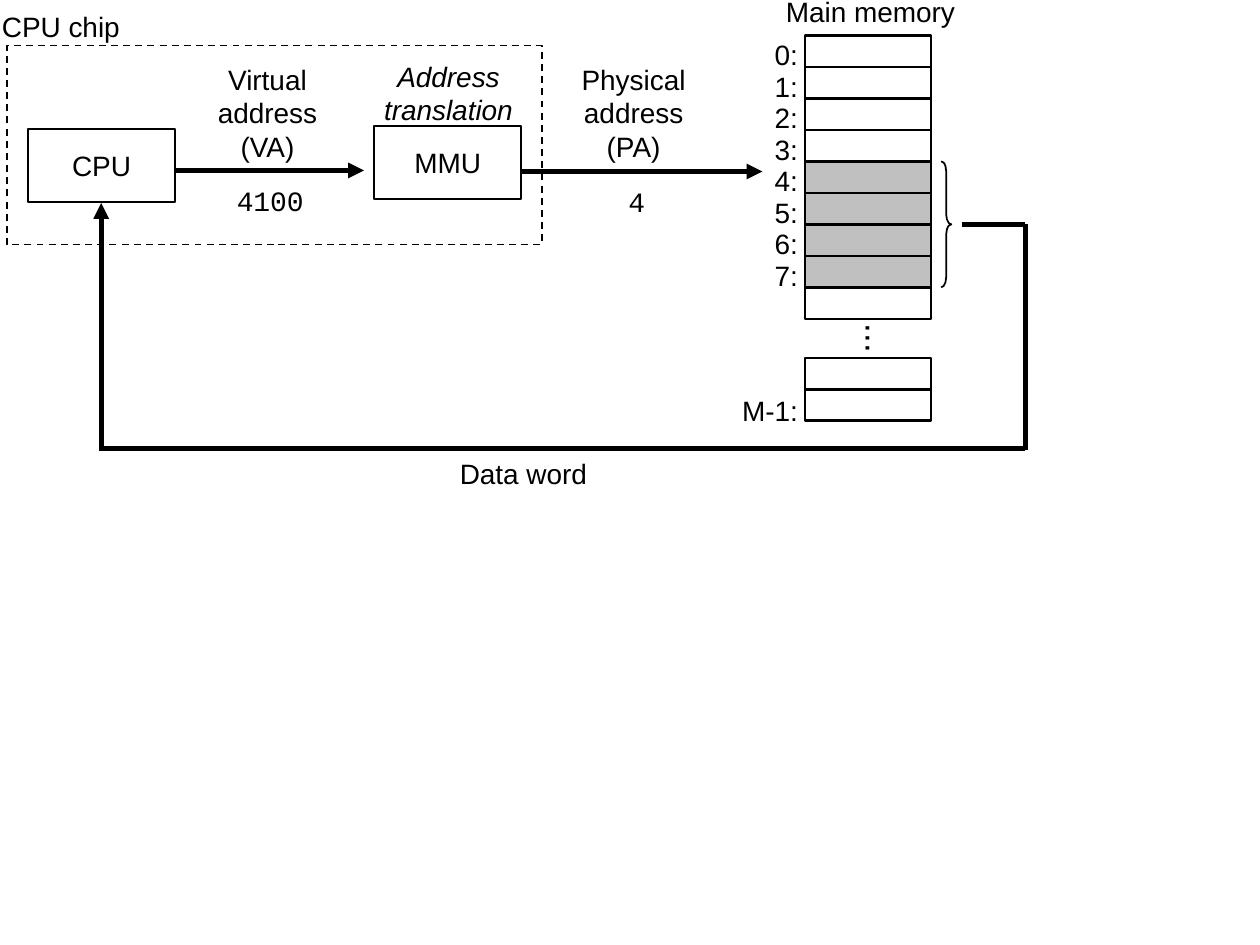
from pptx import Presentation
from pptx.util import Pt
from pptx.dml.color import RGBColor
from pptx.enum.dml import MSO_LINE
from pptx.enum.shapes import MSO_CONNECTOR, MSO_SHAPE
from pptx.enum.text import MSO_ANCHOR, MSO_AUTO_SIZE, PP_ALIGN
from pptx.oxml.ns import qn
from lxml import etree

RECT, BRACE = MSO_SHAPE.RECTANGLE, MSO_SHAPE.RIGHT_BRACE
LINE, DASH = MSO_CONNECTOR.STRAIGHT, MSO_LINE.DASH
MID, TOP = MSO_ANCHOR.MIDDLE, MSO_ANCHOR.TOP
LEFT, CENTER = PP_ALIGN.LEFT, PP_ALIGN.CENTER
GROW = MSO_AUTO_SIZE.SHAPE_TO_FIT_TEXT

HEX = {"ink": "000000", "cell": "FFFFFF", "word": "C0C0C0"}
SANS, MONO = "Arial", "Courier New"
PLAIN = {"name": SANS, "size": Pt(16)}
CODE = {**PLAIN, "name": MONO}
SLANT = {**PLAIN, "italic": True}
LARGE = {**PLAIN, "size": Pt(20)}

# Memory column: left, top, cell width, cell height
COL, ROW, WIDE, HIGH = 460, 20.2, 72, 18
CELLS = ["cell"] * 4 + ["word"] * 4 + ["cell"]
LAST = 204.5

UNITS = [
    ("CPU", (16, 73.6, 84.2, 41.8)),
    ("MMU", (213.8, 72, 84.2, 41.8)),
]
NOTES = [
    ("CPU chip", (-6.2, 1.8, 82, 26.6), PLAIN),
    ("Virtual\naddress\n(VA)", (117.2, 32, 71.3, 64.8), PLAIN),
    ("4100", (127.8, 101.2, 53.3, 26.6), CODE),
    ("Address\ntranslation", (212, 29.9, 88.6, 46), SLANT),
    ("Physical\naddress\n(PA)", (325, 32, 74.2, 64.8), PLAIN),
    ("4", (351.6, 101.5, 24.5, 26.6), CODE),
    ("Data word", (255.6, 257, 87, 26.6), PLAIN),
]
# Start, end, arrowhead at the end
WIRES = [
    ((100, 97.4), (208, 97.4), True),
    ((298, 98), (435.6, 98), True),
    ((550, 128.2), (586, 128.2), False),
    ((586, 128.2), (586, 257), False),
    ((586, 256.3), (57.8, 256.3), False),
    ((57.8, 257.8), (57.8, 116), True),
]

deck = Presentation()
deck.slide_width, deck.slide_height = Pt(720), Pt(540)
slide = deck.slides.add_slide(deck.slide_layouts[6])
shapes = slide.shapes


def color(key):
    return RGBColor.from_string(HEX[key])


def shape(kind, box, fill=None, width=None):
    """Add a preset shape; without fill or width it has no fill or line."""
    item = shapes.add_shape(kind, *map(Pt, box))
    item.shadow.inherit = False
    if fill:
        item.fill.solid()
        item.fill.fore_color.rgb = color(fill)
    else:
        item.fill.background()
    if width:
        item.line.color.rgb = color("ink")
        item.line.width = Pt(width)
    else:
        item.line.fill.background()
    return item


def write(item, text, form=PLAIN, align=CENTER, anchor=MID, space=None):
    frame = item.text_frame
    frame.text = text
    frame.word_wrap = False
    frame.vertical_anchor = anchor
    for para in frame.paragraphs:
        para.alignment = align
        para.line_spacing = space
        para.font.color.rgb = color("ink")
        for name, value in form.items():
            setattr(para.font, name, value)


def label(text, box, form=PLAIN, **style):
    item = shapes.add_textbox(*map(Pt, box))
    write(item, text, form, **style)
    item.text_frame.auto_size = GROW


def wire(start, end, arrow):
    item = shapes.add_connector(LINE, *map(Pt, start + end))
    item.line.color.rgb = color("ink")
    item.line.width = Pt(3)
    if arrow:
        etree.SubElement(item.line._get_or_add_ln(), qn("a:tailEnd"), type="triangle")
    etree.SubElement(item._element.spPr, qn("a:effectLst"))


def cell(top, fill):
    shape(RECT, (COL, top, WIDE, HIGH), fill, 1.5)


def index(text, top, width):
    """Put a row label so that it ends at the memory column."""
    label(text, (COL + 5 - width, top, width, 24.5), align=LEFT, anchor=TOP, space=0.9)


chip = shape(RECT, (3.8, 26, 306, 113.8), width=1)
chip.line.dash_style = DASH
for text, box in UNITS:
    write(shape(RECT, box, width=1), text)

dots = shape(RECT, (466.6, 185, WIDE, HIGH), "cell")
write(dots, "...", LARGE)
dots.text_frame.margin_top = dots.text_frame.margin_bottom = 0
dots.text_frame._txBody.bodyPr.set("vert", "eaVert")

for row, fill in enumerate(CELLS):
    cell(ROW + row * HIGH, fill)
for row in range(8):
    index(f"{row}:", ROW + row * HIGH, 29.4)
for row in range(2):
    cell(LAST + row * HIGH, "cell")
index("M-1:", LAST + HIGH + 1.2, 48)
label("Main memory", (441.6, -4.3, 111.6, 24.5), anchor=TOP, space=0.9)

brace = shape(BRACE, (537.8, ROW + 4 * HIGH, 5.8, 4 * HIGH), width=1)
brace.adjustments[0] = 1
brace.adjustments[1] = 0.5

for path in WIRES:
    wire(*path)
for note in NOTES:
    label(*note)

deck.save("out.pptx")
